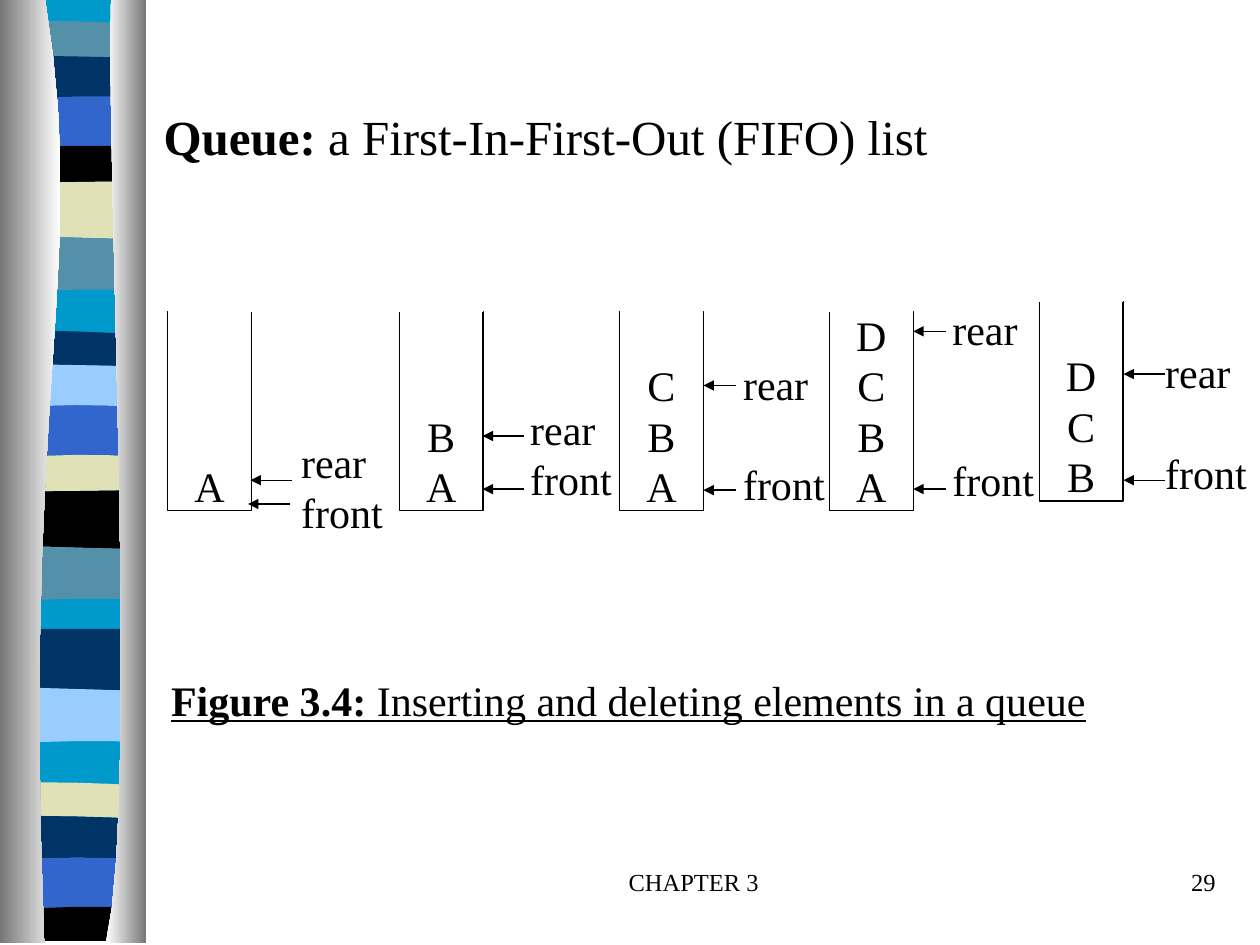
import pptx
import pptx.dml.color
import pptx.enum.shapes
import pptx.enum.text
import pptx.oxml
import pptx.oxml.ns
import pptx.util
from pptx.util import Cm

RGBColor = pptx.dml.color.RGBColor
Align = pptx.enum.text.PP_ALIGN
Anchor = pptx.enum.text.MSO_ANCHOR

BLACK = RGBColor(0x00, 0x00, 0x00)
WHITE = RGBColor(0xFF, 0xFF, 0xFF)
GRAY = RGBColor(0x76, 0x76, 0x76)
CYAN = RGBColor(0x00, 0x99, 0xCC)
TEAL = RGBColor(0x54, 0x90, 0xA8)
NAVY = RGBColor(0x00, 0x33, 0x66)
BLUE = RGBColor(0x33, 0x66, 0xCC)
SAND = RGBColor(0xE1, 0xE1, 0xB7)
SKY = RGBColor(0x99, 0xCC, 0xFF)
FONT = "Times New Roman"
LINE_FACTOR = 1.2

# Content: text parts are (text, bold, underline)
TITLE = [("Queue:", True, False), (" a First-In-First-Out (FIFO) list", False, False)]
CAPTION = [("Figure 3.4: ", True, True),
           ("Inserting and deleting elements in a queue", False, True)]
FOOTERS = [("CHAPTER 3", (9.96, 17.35, 8.05, 1.27), Align.CENTER),
           ("29", (19.48, 17.35, 5.28, 1.27), Align.RIGHT)]

# Queues in cm: box corner, items from top, label box, blank rows between
# the labels, arrow tips (rear, front), arrow length
QUEUES = [
    ((3.38, 6.28), "A", (5.82, 8.66, 2.54, 2.29), 0, [(5.05, 9.68), (5, 10.16)], 0.84),
    ((8.05, 6.28), "BA", (10.44, 8, 2.16, 2.29), 0, [(9.73, 8.79), (9.73, 9.86)], 0.84),
    ((12.49, 6.28), "CBA", (14.73, 7.09, 2.16, 3.3), 1, [(14.18, 7.77), (14.18, 9.88)], 0.66),
    ((16.72, 6.28), "DCBA", (18.95, 5.99, 2.16, 4.32), 2, [(18.41, 6.68), (18.41, 9.86)], 0.66),
    ((20.95, 6.08), "DCB", (23.24, 6.86, 2.16, 3.3), 1, [(22.65, 7.54), (22.65, 9.68)], 0.84),
]
BOX_WIDTH, BOX_HEIGHT = 1.69, 4.02

# Ribbon stripes: colour, height of the top edge at left, middle and right;
# the cyan ones are gaps that show the base
STRIPES = [
    (TEAL, (0.43, 0.43, 0.5)), (NAVY, (1.12, 1.14, 1.17)),
    (BLUE, (2, 1.95, 1.97)), (BLACK, (2.98, 2.94, 2.96)), (SAND, (3.68, 3.67, 3.65)),
    (TEAL, (4.75, 4.79, 4.83)), (CYAN, (5.92, 5.84, 5.87)), (NAVY, (6.67, 6.68, 6.75)),
    (SKY, (7.34, 7.36, 7.39)), (BLUE, (8.23, 8.17, 8.22)), (SAND, (9.25, 9.17, 9.22)),
    (BLACK, (9.91, 9.9, 9.88)), (TEAL, (10.99, 11.04, 11.07)),
    (CYAN, (12.13, 12.07, 12.09)), (NAVY, (12.68, 12.68, 12.68)),
    (SKY, (13.85, 13.89, 13.93)), (CYAN, (15, 14.94, 14.96)),
    (SAND, (15.78, 15.78, 15.84)), (NAVY, (16.45, 16.46, 16.51)),
    (BLUE, (17.34, 17.29, 17.33)), (BLACK, (18.36, 18.28, 18.31)),
]
RIBBON_BOTTOM = 18.97
RIBBON_LEFT, RIBBON_RIGHT = 0.15, 2.9

# Rails: outer x, curve of the inner edge, colours from left to right
RAILS = [
    (0, [(0.91, 0), (1.8, 5.49), (0.43, 7.52), (0.89, 19.02)], (GRAY, WHITE)),
    (2.95, [(2.24, 0), (2.13, 3.18), (2.82, 16.41), (2.13, 19.02)], (WHITE, GRAY)),
]


def write_text(shape, paragraphs, size=24, align=Align.LEFT, anchor=Anchor.TOP,
               blank_rows=0, bottom=0.13):
    """Fill a shape; each paragraph is a list of (text, bold, underline)."""
    frame = shape.text_frame
    frame.auto_size = pptx.enum.text.MSO_AUTO_SIZE.NONE
    frame.word_wrap = False
    frame.vertical_anchor = anchor
    frame.margin_left = frame.margin_right = Cm(0.25)
    frame.margin_top, frame.margin_bottom = Cm(0.13), Cm(bottom)
    for index, parts in enumerate(paragraphs):
        paragraph = frame.add_paragraph() if index else frame.paragraphs[0]
        paragraph.alignment = align
        paragraph.line_spacing = pptx.util.Pt(size * LINE_FACTOR)
        paragraph.space_before = pptx.util.Pt(size * LINE_FACTOR * blank_rows if index else 0)
        for text, bold, underline in parts:
            run = paragraph.add_run()
            run.text = text
            run.font.name, run.font.size = FONT, pptx.util.Pt(size)
            run.font.bold, run.font.underline = bold, underline
            run.font.color.rgb = BLACK


def plain(lines):
    return [[(line, False, False)] for line in lines]


def add_text_box(slide, box, paragraphs, **text_format):
    shape = slide.shapes.add_textbox(*map(Cm, box))
    write_text(shape, paragraphs, **text_format)


def add_line(slide, start, end, color, arrow=False):
    line = slide.shapes.add_connector(
        pptx.enum.shapes.MSO_CONNECTOR.STRAIGHT, *map(Cm, start + end))
    line.line.color.rgb, line.line.width = color, pptx.util.Pt(0.75)
    if arrow:
        tail = pptx.oxml.parse_xml(
            '<a:tailEnd %s type="triangle"/>' % pptx.oxml.ns.nsdecls("a"))
        line.line._get_or_add_ln().append(tail)
    line._element.spPr.append(
        pptx.oxml.parse_xml("<a:effectLst %s/>" % pptx.oxml.ns.nsdecls("a")))


def add_outline(slide, points, color=None):
    corners = [(Cm(x), Cm(y)) for x, y in points]
    builder = slide.shapes.build_freeform(*corners[0])
    builder.add_line_segments(corners[1:], close=True)
    shape = builder.convert_to_shape()
    shape.shadow.inherit = False
    shape.line.fill.background()
    if color is not None:
        shape.fill.solid()
        shape.fill.fore_color.rgb = color
    return shape


def wave(heights, steps=4):
    """Points of the parabola through the left, middle and right heights."""
    left, middle, right = heights
    points = []
    for step in range(steps + 1):
        t = step / steps
        y = (left * (1 - t) * (1 - 2 * t) + middle * 4 * t * (1 - t)
             + right * t * (2 * t - 1))
        points.append((RIBBON_LEFT + t * (RIBBON_RIGHT - RIBBON_LEFT), y))
    return points


def bezier(controls, steps=14):
    points = []
    for step in range(steps + 1):
        t = step / steps
        weights = ((1 - t) ** 3, 3 * t * (1 - t) ** 2, 3 * t * t * (1 - t), t ** 3)
        points.append(tuple(sum(w * c[axis] for w, c in zip(weights, controls))
                            for axis in (0, 1)))
    return points


def add_ribbon(slide):
    add_outline(slide, [(RIBBON_LEFT, 0), (RIBBON_RIGHT, 0),
                        (RIBBON_RIGHT, RIBBON_BOTTOM), (RIBBON_LEFT, RIBBON_BOTTOM)], CYAN)
    bottoms = [wave(edge) for _, edge in STRIPES[1:]]
    bottoms.append([(RIBBON_LEFT, RIBBON_BOTTOM), (RIBBON_RIGHT, RIBBON_BOTTOM)])
    for (color, top), bottom in zip(STRIPES, bottoms):
        if color != CYAN:
            add_outline(slide, wave(top) + bottom[::-1], color)
    for outer, curve, colors in RAILS:
        rail = add_outline(slide, bezier(curve) + [(outer, curve[-1][1]), (outer, 0)])
        rail.fill.gradient()
        rail.fill.gradient_angle = 0
        for stop, color in zip(rail.fill.gradient_stops, colors):
            stop.color.rgb = color


def add_queue(slide, corner, items, label_box, blank_rows, tips, length):
    left, top = corner
    box = slide.shapes.add_shape(pptx.enum.shapes.MSO_SHAPE.RECTANGLE,
                                 *map(Cm, (left, top, BOX_WIDTH, BOX_HEIGHT)))
    box.shadow.inherit = False
    box.fill.solid()
    box.fill.fore_color.rgb = WHITE
    box.line.color.rgb, box.line.width = BLACK, pptx.util.Pt(0.75)
    write_text(box, plain(items), align=Align.CENTER, anchor=Anchor.BOTTOM, bottom=0)
    # A white line opens the top of the box
    add_line(slide, corner, (left + BOX_WIDTH, top), WHITE)
    for x, y in tips:
        add_line(slide, (x + length, y), (x, y), BLACK, arrow=True)
    add_text_box(slide, label_box, plain(["rear", "front"]), blank_rows=blank_rows)


def main():
    presentation = pptx.Presentation()
    presentation.slide_width, presentation.slide_height = Cm(25.4), Cm(19.05)
    slide = presentation.slides.add_slide(presentation.slide_layouts[5])
    add_ribbon(slide)

    # Title
    title = slide.shapes.title
    title.left, title.top, title.width, title.height = map(Cm, (3.05, 2.01, 15.9, 1.45))
    write_text(title, [TITLE], size=28)

    # Queues, caption and footers
    for queue in QUEUES:
        add_queue(slide, *queue)
    add_text_box(slide, (3.2, 13.46, 18.95, 1.27), [CAPTION])
    for text, box, align in FOOTERS:
        add_text_box(slide, box, plain([text]), size=14, align=align)
    presentation.save("out.pptx")


if __name__ == "__main__":
    main()
